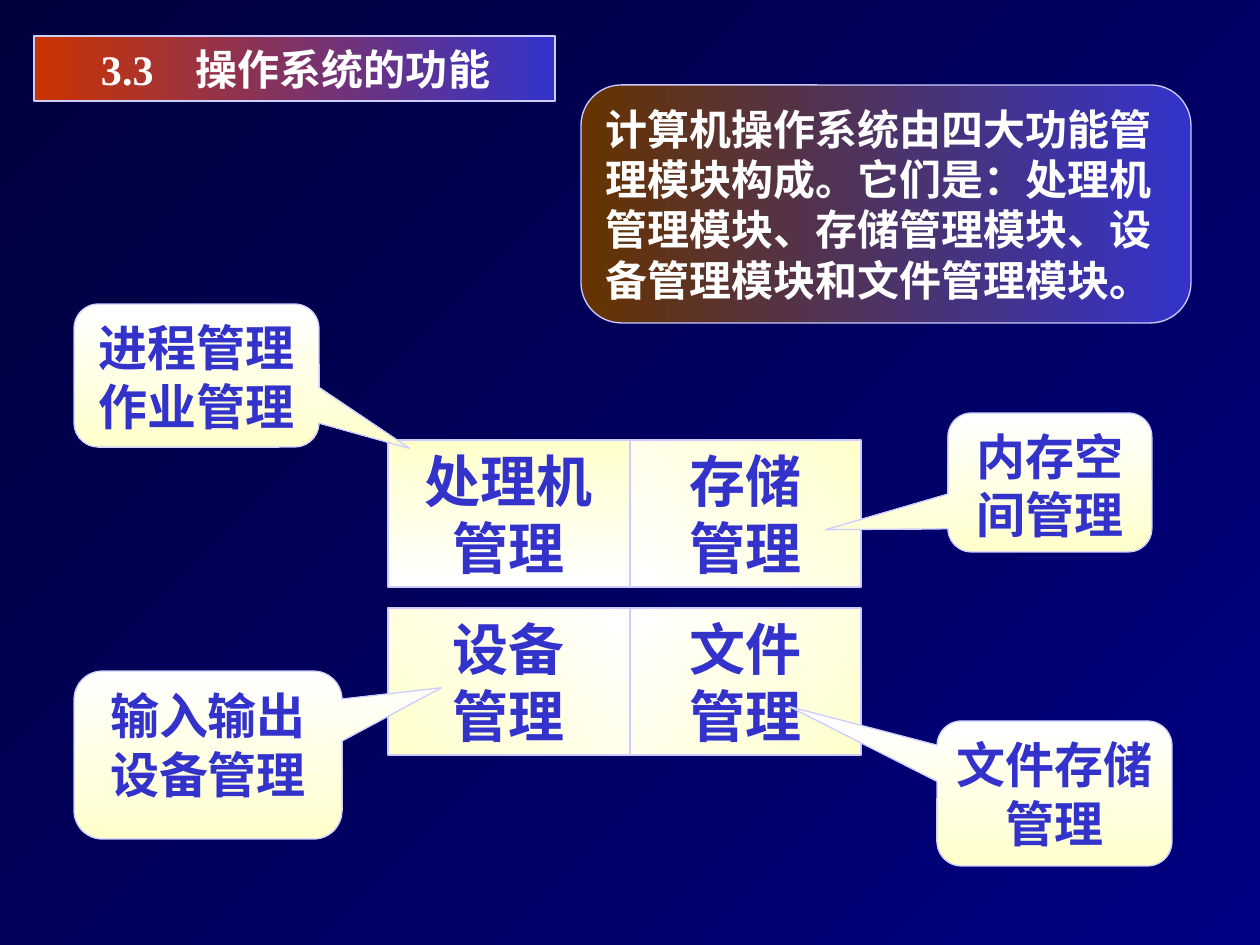
from lxml.etree import SubElement
from pptx import Presentation
from pptx.dml.color import RGBColor as RGB
from pptx.enum.shapes import MSO_SHAPE as SHAPE
from pptx.enum.text import MSO_ANCHOR as ANCHOR, MSO_AUTO_SIZE as SIZE, PP_ALIGN as ALIGN
from pptx.oxml.ns import qn
from pptx.util import Pt

PX = 914400 / 126
THEME = {
    "cjk": "Noto Sans CJK SC", "latin": "Times New Roman",
    "back": ("00003C", "000082"), "pill": ("CC3300", "3333CC"),
    "intro": ("663300", "3333CC"), "pale": ("FFFFFF", "FFFFCC"),
    "cream": ("FFFFCC", "FFFFFF"),
    "edge": "CCCCFF", "blue": "3333CC", "white": "FFFFFF",
    "body": 24, "note": 28, "cell": 32,
}

TITLE = ("3.3", "操作系统的功能")
TITLE_BOX = (34, 36, 521, 65)
TITLE_PAD, TITLE_TAB = 67, 95
INTRO = "计算机操作系统由四大功能管理模块构成。它们是：处理机管理模块、存储管理模块、设备管理模块和文件管理模块。"
INTRO_BOX = (581, 85, 610, 238)

# Grid of modules: lines, gradient, angle
MODULES = [
    [(["处理机管理"], "cream", 90), (["存储", "管理"], "pale", 315)],
    [(["设备", "管理"], "cream", 315), (["文件", "管理"], "pale", 45)],
]
GRID_X, GRID_Y, ROW_H, GAP = 388, 440, 147, 21
COLS = (242, 231)

# Callouts: lines, box, tip offset from the centre as a share of the box
NOTES = [
    (["进程管理", "作业管理"], (74, 304, 245, 143), (0.87, 0.51)),
    (["内存空间管理"], (948, 413, 204, 139), (-1.1, 0.34)),
    (["输入输出设备管理"], (74, 671, 268, 168), (0.87, -0.4)),
    (["文件存储管理"], (937, 721, 235, 145), (-1.13, -0.6)),
]


def emu(px):
    return round(px * PX)


def shade(fill, name, angle):
    """Fill with a two-colour gradient, angle clockwise."""
    fill.gradient()
    fill.gradient_angle = -angle % 360
    for stop, tone in zip(fill.gradient_stops, THEME[name]):
        stop.color.rgb = RGB.from_string(tone)


def edge(shape, width=0.75):
    shape.line.color.rgb = RGB.from_string(THEME["edge"])
    shape.line.width = Pt(width)


def add_run(para, text, size, color, face="cjk"):
    run = para.add_run()
    run.text = text
    form = {"size": Pt(size), "bold": True, "name": THEME[face]}
    for key, value in form.items():
        setattr(run.font, key, value)
    run.font.color.rgb = RGB.from_string(THEME[color])
    SubElement(run.font._element, qn("a:ea"), typeface=THEME["cjk"])


def add_box(slide, kind, box, lines, tone, angle, size, color="blue",
            align=ALIGN.CENTER, anchor=ANCHOR.MIDDLE, adjust=()):
    shape = slide.shapes.add_shape(kind, *map(emu, box))
    shape.shadow.inherit = False
    for i, value in enumerate(adjust):
        shape.adjustments[i] = value
    shade(shape.fill, tone, angle)
    edge(shape)
    frame = shape.text_frame
    frame.word_wrap = True
    frame.vertical_anchor = anchor
    for i, line in enumerate(lines):
        para = frame.add_paragraph() if i else frame.paragraphs[0]
        para.alignment = align
        add_run(para, line, THEME[size], color)


def set_title(slide):
    title = slide.shapes.title
    form = dict(zip(("left", "top", "width", "height"), map(emu, TITLE_BOX)))
    for key, value in form.items():
        setattr(title, key, value)
    geom = SubElement(title._element.spPr, qn("a:prstGeom"), prst="roundRect")
    guides = SubElement(geom, qn("a:avLst"))
    SubElement(guides, qn("a:gd"), name="adj", fmla="val 50000")
    shade(title.fill, "pill", 0)
    edge(title, 1.5)
    frame = title.text_frame
    form = {"margin_left": emu(TITLE_PAD), "margin_right": 0, "margin_top": 0,
            "margin_bottom": 0, "word_wrap": True, "auto_size": SIZE.NONE,
            "vertical_anchor": ANCHOR.MIDDLE}
    for key, value in form.items():
        setattr(frame, key, value)
    para = frame.paragraphs[0]
    para.alignment = ALIGN.LEFT
    tabs = SubElement(para._p.get_or_add_pPr(), qn("a:tabLst"))
    SubElement(tabs, qn("a:tab"), pos=str(emu(TITLE_TAB)), algn="l")
    number, name = TITLE
    add_run(para, number + "\t", THEME["body"], "white", "latin")
    add_run(para, name, THEME["body"], "white")


def main():
    deck = Presentation()
    deck.slide_width, deck.slide_height = emu(1260), emu(945)
    slide = deck.slides.add_slide(deck.slide_layouts.get_by_name("Title Only"))
    shade(slide.background.fill, "back", 45)
    set_title(slide)
    add_box(slide, SHAPE.ROUNDED_RECTANGLE, INTRO_BOX, [INTRO], "intro", 0,
            "body", "white", ALIGN.LEFT, adjust=(0.17,))
    for r, row in enumerate(MODULES):
        for c, (lines, tone, angle) in enumerate(row):
            box = (GRID_X + sum(COLS[:c]), GRID_Y + r * (ROW_H + GAP), COLS[c], ROW_H)
            add_box(slide, SHAPE.RECTANGLE, box, lines, tone, angle, "cell")
    for lines, box, tip in NOTES:
        add_box(slide, SHAPE.ROUNDED_RECTANGULAR_CALLOUT, box, lines, "pale", 90,
                "note", anchor=ANCHOR.TOP, adjust=(*tip, 0.17))
    deck.save("out.pptx")


if __name__ == "__main__":
    main()
